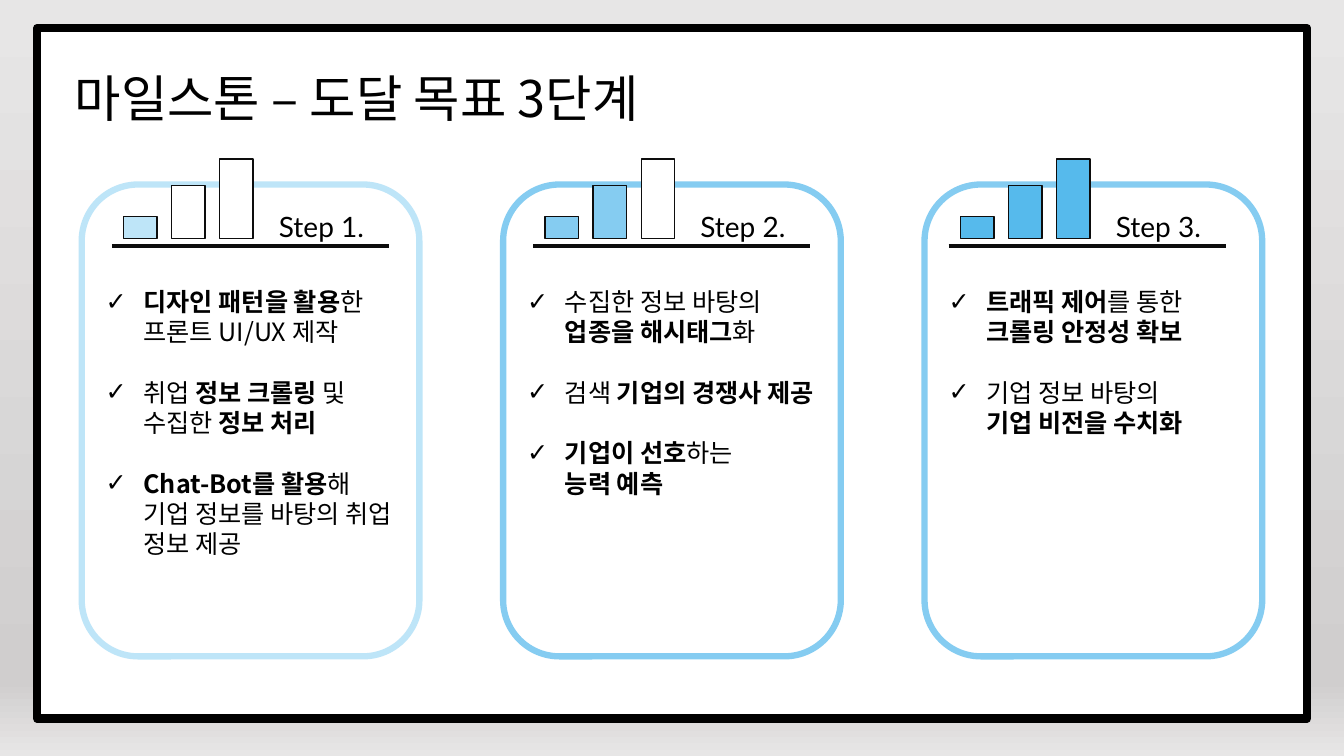
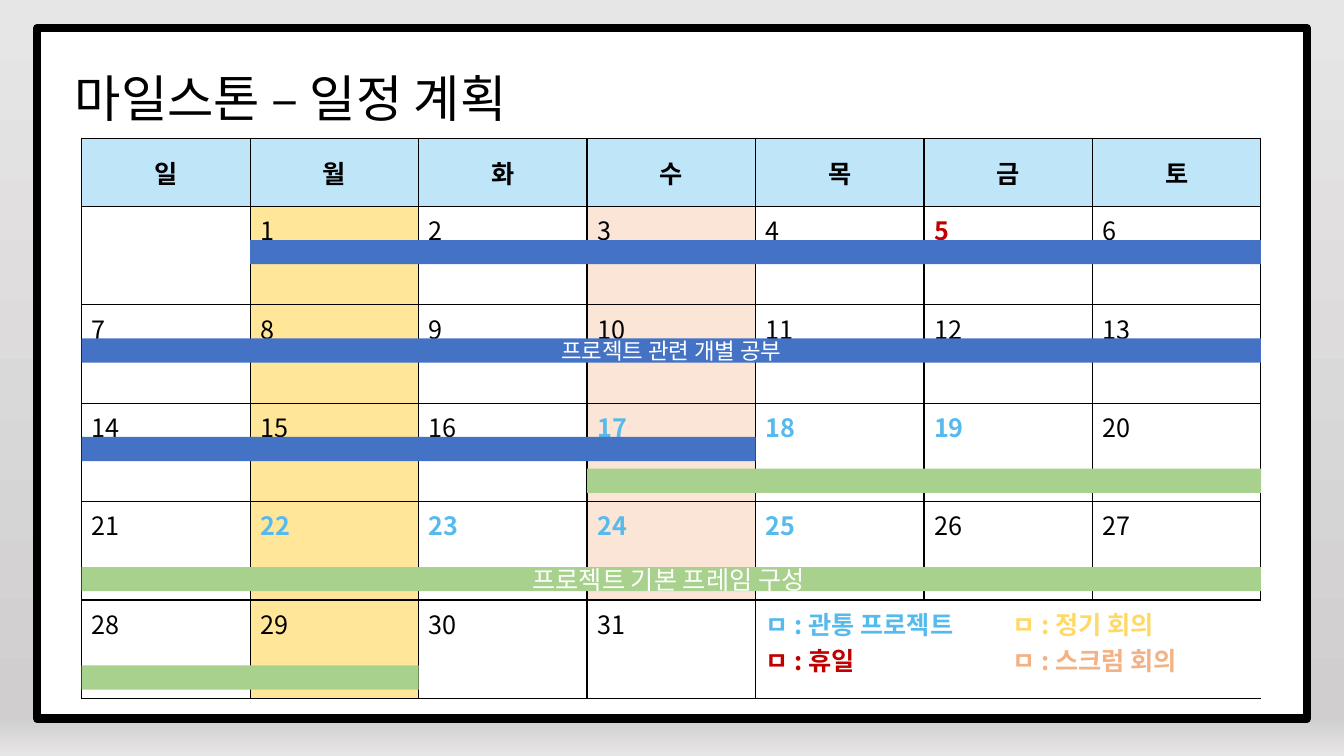
"""Build two milestone slides: three goal steps and a month schedule."""
import copy

import pptx
import pptx.dml.color
import pptx.enum.shapes
import pptx.enum.text
import pptx.oxml.ns
import pptx.util
from lxml import etree

Cm = pptx.util.Cm
Pt = pptx.util.Pt
RGBColor = pptx.dml.color.RGBColor
SHAPE = pptx.enum.shapes.MSO_SHAPE
ANCHOR = pptx.enum.text.MSO_ANCHOR
ALIGN = pptx.enum.text.PP_ALIGN
qn = pptx.oxml.ns.qn

BLACK = RGBColor(0x00, 0x00, 0x00)
INK = RGBColor(0x0D, 0x0D, 0x0D)
WHITE = RGBColor(0xFF, 0xFF, 0xFF)
SILVER = RGBColor(0xE7, 0xE6, 0xE6)
GRAY = RGBColor(0xD0, 0xCE, 0xCE)
PALE_SKY = RGBColor(0xBE, 0xE5, 0xF8)
SOFT_SKY = RGBColor(0x85, 0xCC, 0xF1)
SKY = RGBColor(0x56, 0xBA, 0xEC)
RED = RGBColor(0xC0, 0x00, 0x00)
CREAM = RGBColor(0xFF, 0xE6, 0x99)
GOLD = RGBColor(0xFF, 0xD9, 0x66)
PEACH = RGBColor(0xFB, 0xE5, 0xD6)
ORANGE = RGBColor(0xF4, 0xB1, 0x83)
BLUE = RGBColor(0x44, 0x72, 0xC4)
GREEN = RGBColor(0xA9, 0xD1, 0x8E)

KOREAN = "Noto Sans CJK KR"
LATIN = "Lato"

CARD_LEFT, CARD_PITCH = Cm(2.06), Cm(10.62)
BAR_HEIGHTS = [Cm(0.56), Cm(1.33), Cm(2)]
BAR_BOTTOM = Cm(6.01)
STEPS = [
    ("Step 1.", PALE_SKY, PALE_SKY, Cm(0.76), Cm(7.95), [
        "*디자인 패턴을 활용*한 프론트 UI/UX 제작",
        "취업 *정보 크롤링 *및 수집한 *정보 처리*",
        "*Chat-Bot를 활용*해 기업 정보를 바탕의 취업 정보 제공"]),
    ("Step 2.", SOFT_SKY, SOFT_SKY, Cm(0.76), Cm(7.19), [
        "수집한 정보 바탕의 *업종을 해시태그*화",
        "검색 *기업의 경쟁사 제공*",
        "*기업이 선호*하는 \n*능력 예측*"]),
    ("Step 3.", SOFT_SKY, SKY, Cm(0.61), Cm(4.88), [
        "*트래픽 제어*를 통한 *크롤링 안정성 확보*",
        "기업 정보 바탕의 \n*기업 비전을 수치화*"]),
]

TABLE_LEFT, TABLE_TOP = Cm(2.06), Cm(3.48)
DAY_WIDTH = Cm(29.72) // 7
HALF_DAY = Cm(1.98)
HEADER_HEIGHT, WEEK_HEIGHT = Cm(1.72), Cm(2.48)
WEEKDAYS = "일월화수목금토"
WEEKS, LAST_DAY = 5, 31
HOLIDAYS = {5}
PROJECT_DAYS = {17, 18, 19, 22, 23, 24, 25}
LEGEND = {
    4: [("ㅁ : 관통 프로젝트", SKY), ("ㅁ : 휴일", RED)],
    6: [("ㅁ : 정기 회의", GOLD), ("ㅁ : 스크럼 회의", ORANGE)],
}
STUDY_OFFSET, FRAME_OFFSET = Cm(0.85), Cm(1.65)
TASKS = [
    (2, 0, 4, STUDY_OFFSET, BLUE, "", 16),
    (1, 0, 7, STUDY_OFFSET, BLUE, "프로젝트 관련 개별 공부", 16),
    (0, 1, 6, STUDY_OFFSET, BLUE, "", 16),
    (2, 3, 4, FRAME_OFFSET, GREEN, "", 18),
    (3, 0, 7, FRAME_OFFSET, GREEN, "프로젝트 기본 프레임 구성 ", 18),
    (4, 0, 2, FRAME_OFFSET, GREEN, "", 18),
]


def write(frame, text, size=18, color=BLACK, font=KOREAN, bold=False,
          align=ALIGN.LEFT, pitch=None, before=0, bullet=None):
    """Write one paragraph; asterisks toggle bold and newlines break lines."""
    paragraph = frame.paragraphs[-1]
    if paragraph.runs:
        paragraph = frame.add_paragraph()
    paragraph.alignment = align
    paragraph.space_before = Pt(before)
    if pitch:
        paragraph.line_spacing = Pt(pitch)
    if bullet:
        properties = paragraph._p.get_or_add_pPr()
        properties.set("marL", str(Cm(0.95)))
        properties.set("indent", str(-Cm(0.95)))
        etree.SubElement(properties, qn("a:buChar")).set("char", bullet)
    for part_index, part in enumerate(text.split("*")):
        for line_index, line in enumerate(part.split("\n")):
            if line_index:
                paragraph.add_line_break()
            if not line:
                continue
            run = paragraph.add_run()
            run.text = line
            run.font.size = Pt(size)
            run.font.bold = bold or part_index % 2 == 1
            run.font.color.rgb = color
            run.font.name = font
            etree.SubElement(run._r.get_or_add_rPr(), qn("a:ea")).set("typeface", font)


def place(shape, left, top, width, height):
    """Move and size a placeholder and prepare its text frame."""
    shape.left, shape.top, shape.width, shape.height = left, top, width, height
    frame = shape.text_frame
    frame.word_wrap = True
    frame.auto_size = pptx.enum.text.MSO_AUTO_SIZE.NONE
    frame.vertical_anchor = ANCHOR.TOP
    return frame


def add_box(shapes, preset, left, top, width, height, fill, outline=None, weight=1):
    """Add a flat preset shape."""
    box = shapes.add_shape(preset, left, top, width, height)
    box.shadow.inherit = False
    box.fill.solid()
    box.fill.fore_color.rgb = fill
    if outline is None:
        box.line.fill.background()
    else:
        box.line.color.rgb = outline
        box.line.width = Pt(weight)
    return box


def add_master_frame(deck, slide):
    """Give the master the white sheet with its black border."""
    sheet = add_box(slide.shapes, SHAPE.RECTANGLE, Cm(0.94), Cm(0.71),
                    Cm(32), Cm(17.4), WHITE, BLACK, 6)
    sheet.element.nvSpPr.cNvPr.set("id", "20")
    deck.slide_master.shapes.element.insert(2, sheet.element)


def add_slide(deck, layout_index, title, middle):
    """Add a slide with its gradient background and title."""
    slide = deck.slides.add_slide(deck.slide_layouts[layout_index])
    fill = slide.background.fill
    fill.gradient()
    fill.gradient_angle = 90
    stops = slide.element.find(".//" + qn("a:gsLst"))
    stops.insert(1, copy.deepcopy(stops[0]))
    for stop, position, color in zip(fill.gradient_stops, (0, middle, 1),
                                     (SILVER, GRAY, SILVER)):
        stop.position = position
        stop.color.rgb = color
    frame = place(slide.shapes.title, Cm(1.63), Cm(1.57), Cm(30.15), Cm(1.8))
    write(frame, title, size=36, pitch=43.2)
    return slide


def add_step_header(slide, left, label, number, color):
    """Add the growing bars, the rule and the step label as one group."""
    shapes = slide.shapes.add_group_shape().shapes
    caption = shapes.add_textbox(left + Cm(3.96), Cm(5.16), Cm(3.02), Cm(1.12))
    caption.text_frame.word_wrap = True
    write(caption.text_frame, label, size=20, font=LATIN)
    rule = shapes.add_connector(pptx.enum.shapes.MSO_CONNECTOR.STRAIGHT,
                                left, Cm(6.2), left + Cm(6.98), Cm(6.2))
    rule.line.color.rgb = INK
    rule.line.width = Pt(3)
    etree.SubElement(rule.element.spPr, qn("a:effectLst"))
    for index, height in enumerate(BAR_HEIGHTS):
        add_box(shapes, SHAPE.RECTANGLE, left + Cm(0.3) + index * Cm(1.21),
                BAR_BOTTOM - height, Cm(0.84), height,
                color if index < number else WHITE, INK)


def fill_steps(slide):
    """Draw a card, a header and a checklist for every step."""
    lists = [holder for holder in slide.placeholders if holder.placeholder_format.idx]
    for index, (label, border, color, inset, height, goals) in enumerate(STEPS):
        left = CARD_LEFT + index * CARD_PITCH
        add_box(slide.shapes, SHAPE.ROUNDED_RECTANGLE, left, Cm(4.65),
                Cm(8.51), Cm(11.89), WHITE, border, 4.5)
        add_step_header(slide, left + inset, label, index + 1, color)
        checklist = lists[index]
        slide.shapes.element.append(checklist.element)
        frame = place(checklist, left + Cm(0.35), Cm(7.09), Cm(7.75), height)
        for goal_index, goal in enumerate(goals):
            write(frame, goal, pitch=21.6, before=21.6 if goal_index else 0, bullet="✓")
    for spare in lists[len(STEPS):]:
        slide.shapes.element.remove(spare.element)


def format_cell(cell, fill, sides="LRTB"):
    """Fill a cell and draw black borders on the given sides."""
    cell.fill.solid()
    cell.fill.fore_color.rgb = fill
    properties = cell._tc.get_or_add_tcPr()
    for index, side in enumerate("LRTB"):
        border = etree.Element(qn("a:ln" + side), w=str(Pt(1)))
        if side in sides:
            paint = etree.SubElement(border, qn("a:solidFill"))
            etree.SubElement(paint, qn("a:srgbClr")).set("val", str(BLACK))
        else:
            etree.SubElement(border, qn("a:noFill"))
        properties.insert(index, border)


def day_fill(weekday, day):
    """Return the cell colour for a day."""
    if weekday == 1:
        return CREAM
    return PEACH if weekday == 3 and day < LAST_DAY else WHITE


def add_calendar(slide):
    """Add the month table with its legend in the last row."""
    widths = [DAY_WIDTH] * 5 + [HALF_DAY, DAY_WIDTH - HALF_DAY, DAY_WIDTH]
    table = slide.shapes.add_table(
        WEEKS + 1, len(widths), TABLE_LEFT, TABLE_TOP, sum(widths),
        HEADER_HEIGHT + WEEKS * WEEK_HEIGHT).table
    table.first_row = table.horz_banding = False
    for column, width in zip(table.columns, widths):
        column.width = width
    for index, row in enumerate(table.rows):
        row.height = WEEK_HEIGHT if index else HEADER_HEIGHT
        for column in range(len(widths)):
            weekday = column if column < 6 else column - 1
            sides = "LRTB"
            if index == WEEKS and column >= 4:
                sides = {4: "LTB", 7: "RTB"}.get(column, "TB")
            fill = day_fill(weekday, (index - 1) * 7 + weekday) if index else PALE_SKY
            format_cell(table.cell(index, column), fill, sides)
        if index < WEEKS:
            table.cell(index, 5).merge(table.cell(index, 6))
    for weekday, name in enumerate(WEEKDAYS):
        column = weekday if weekday < 6 else 7
        header = table.cell(0, column)
        header.vertical_anchor = ANCHOR.MIDDLE
        write(header.text_frame, name, bold=True, align=ALIGN.CENTER)
        for week in range(WEEKS):
            day = week * 7 + weekday
            if 1 <= day <= LAST_DAY:
                color = RED if day in HOLIDAYS else SKY if day in PROJECT_DAYS else BLACK
                write(table.cell(week + 1, column).text_frame, str(day),
                      color=color, bold=color != BLACK)
    for column, entries in LEGEND.items():
        legend = table.cell(WEEKS, column)
        legend.merge(table.cell(WEEKS, column + 1))
        for text, color in entries:
            write(legend.text_frame, text, color=color, bold=True)


def add_tasks(slide):
    """Lay the task bars over the calendar grid."""
    for week, first, days, offset, color, label, size in TASKS:
        top = TABLE_TOP + HEADER_HEIGHT + week * WEEK_HEIGHT + offset
        bar = add_box(slide.shapes, SHAPE.RECTANGLE, TABLE_LEFT + first * DAY_WIDTH,
                      top, days * DAY_WIDTH, Cm(0.61), color)
        if label:
            bar.text_frame.vertical_anchor = ANCHOR.MIDDLE
            write(bar.text_frame, label, size=size, color=WHITE, align=ALIGN.CENTER)


def main():
    """Build and save the presentation."""
    deck = pptx.Presentation()
    deck.slide_width, deck.slide_height = Cm(33.87), Cm(19.05)
    goals = add_slide(deck, 4, "마일스톤 – 도달 목표 3단계", 0.1)
    add_master_frame(deck, goals)
    fill_steps(goals)
    schedule = add_slide(deck, 5, "마일스톤 – 일정 계획", 0.05)
    add_calendar(schedule)
    add_tasks(schedule)
    deck.save("out.pptx")


if __name__ == "__main__":
    main()
